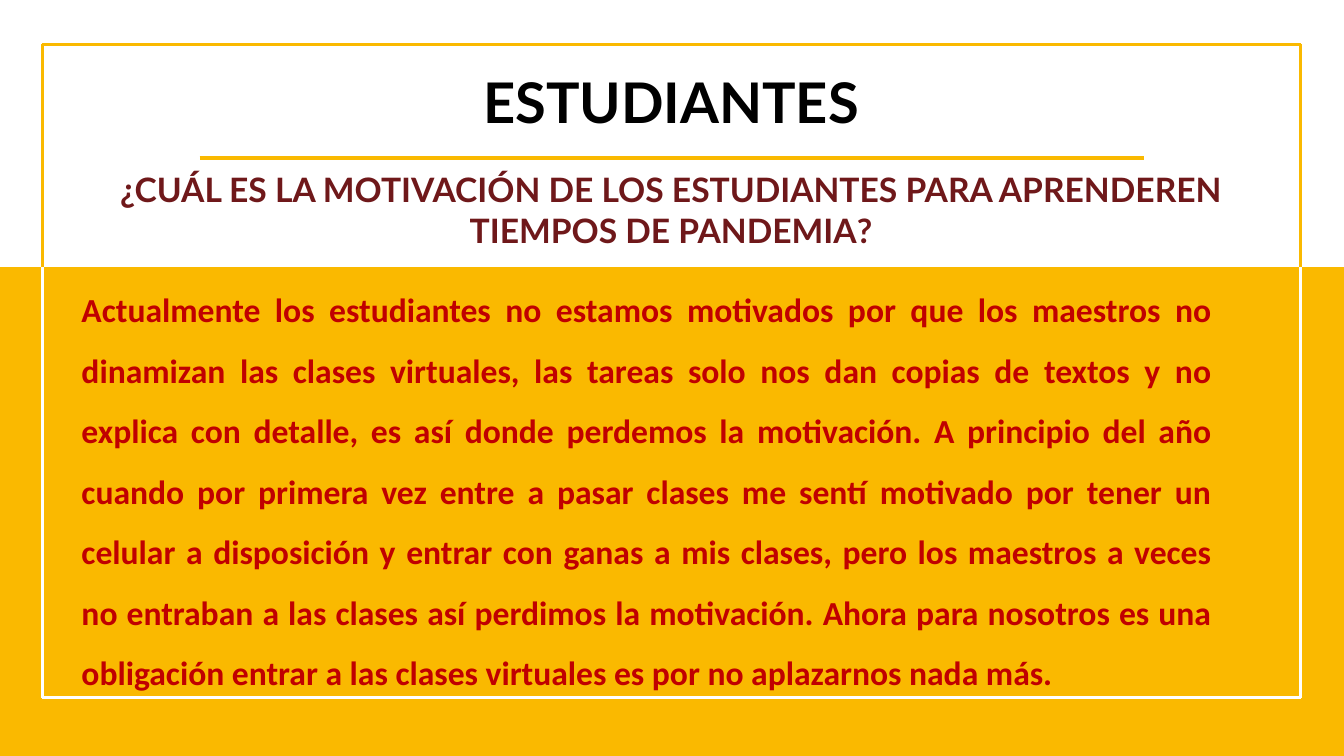
"""Build the slide on student motivation, with a two-tone frame around the text."""
from dataclasses import dataclass

from lxml import etree
from pptx import Presentation
from pptx.dml.color import RGBColor
from pptx.enum.shapes import MSO_CONNECTOR, MSO_SHAPE
from pptx.enum.text import MSO_ANCHOR, MSO_AUTO_SIZE, PP_ALIGN
from pptx.oxml.ns import qn
from pptx.util import Inches, Pt

TITLE = "ESTUDIANTES"
QUESTION = "¿CUÁL ES LA MOTIVACIÓN DE LOS ESTUDIANTES PARA APRENDEREN TIEMPOS DE PANDEMIA?"
ANSWER = (
    "Actualmente los estudiantes no estamos motivados por que los maestros no "
    "dinamizan las clases virtuales, las tareas solo nos dan copias de textos y no "
    "explica con detalle, es así donde perdemos la motivación. A principio del año "
    "cuando por primera vez entre a pasar clases me sentí motivado por tener un "
    "celular a disposición y entrar con ganas a mis clases, pero los maestros a veces "
    "no entraban a las clases así perdimos la motivación. Ahora para nosotros es una "
    "obligación entrar a las clases virtuales es por no aplazarnos nada más."
)

WIDTH, HEIGHT = 13.33, 7.5
SPLIT = 2.65
LEFT, RIGHT, TOP, BOTTOM = 0.42, 12.9, 0.44, 6.92
HEADING_LEFT, HEADING_WIDTH, HEADING_HEIGHT = 0.88, 11.55, 1.23
RULE_LEFT, RULE_RIGHT, RULE_TOP = 1.98, 11.35, 1.57

STRAIGHT = MSO_CONNECTOR.STRAIGHT
CENTER, JUSTIFY = PP_ALIGN.CENTER, PP_ALIGN.JUSTIFY


@dataclass(frozen=True)
class Theme:
    gold: str = "FAB900"
    white: str = "FFFFFF"
    black: str = "000000"
    maroon: str = "6F181A"
    red: str = "C00000"
    heading_font: str = "Lato"
    text_font: str = "Calibri"
    title_size: int = 40
    text_size: int = 24
    line_width: float = 2.5


THEME = Theme()


def color(code):
    return RGBColor.from_string(code)


def place(shape, left, top, width, height):
    shape.left, shape.top = Inches(left), Inches(top)
    shape.width, shape.height = Inches(width), Inches(height)


def write(shape, text, font, size, ink, align, anchor=MSO_ANCHOR.TOP, spacing=1.0):
    frame = shape.text_frame
    frame.word_wrap = True
    frame.auto_size = MSO_AUTO_SIZE.NONE
    frame.vertical_anchor = anchor
    para = frame.paragraphs[0]
    para.alignment = align
    para.line_spacing = spacing
    span = para.add_run()
    span.text = text
    span.font.name = font
    span.font.size = Pt(size)
    span.font.bold = True
    span.font.color.rgb = color(ink)
    return para


def draw_line(shapes, start, end, ink):
    line = shapes.add_connector(STRAIGHT, *map(Inches, start + end))
    line.line.color.rgb = color(ink)
    line.line.width = Pt(THEME.line_width)
    etree.SubElement(line._element.spPr, qn("a:effectLst"))


def draw_half_frame(page, edge, ink):
    half = page.shapes.add_group_shape()
    for side in (LEFT, RIGHT):
        draw_line(half.shapes, (side, SPLIT), (side, edge), ink)
    draw_line(half.shapes, (LEFT, edge), (RIGHT, edge), ink)


def add_band(page):
    band = page.shapes.add_shape(
        MSO_SHAPE.RECTANGLE, 0, Inches(SPLIT), Inches(WIDTH), Inches(HEIGHT - SPLIT)
    )
    band.shadow.inherit = False
    band.fill.solid()
    band.fill.fore_color.rgb = color(THEME.gold)
    band.line.fill.background()
    page.shapes._spTree.insert(2, band._element)


def add_headings(page):
    title, question = page.shapes.title, page.placeholders[1]
    place(title, HEADING_LEFT, 0.32, HEADING_WIDTH, HEADING_HEIGHT)
    place(question, HEADING_LEFT, 1.63, HEADING_WIDTH, HEADING_HEIGHT)
    write(title, TITLE, THEME.heading_font, THEME.title_size, THEME.black,
          CENTER, MSO_ANCHOR.BOTTOM, 0.9)
    frame = title.text_frame
    frame.margin_left = frame.margin_right = Inches(0.2)
    frame.margin_top = frame.margin_bottom = Inches(0.2)
    para = write(question, QUESTION, THEME.heading_font, THEME.text_size,
                 THEME.maroon, CENTER)
    para.space_before = Pt(10)
    properties = para._p.get_or_add_pPr()
    properties.set("marL", "0")
    properties.set("indent", "0")
    etree.SubElement(properties, qn("a:buNone"))


def add_answer(page):
    box = page.shapes.add_textbox(0, 0, 0, 0)
    place(box, 0.71, 2.62, 11.41, 4.28)
    para = write(box, ANSWER, THEME.text_font, THEME.text_size, THEME.red,
                 JUSTIFY, spacing=1.5)
    para.space_after = Pt(8)


def main():
    deck = Presentation()
    deck.slide_width, deck.slide_height = Inches(WIDTH), Inches(HEIGHT)
    page = deck.slides.add_slide(deck.slide_layouts[1])
    add_band(page)
    add_headings(page)
    draw_half_frame(page, TOP, THEME.gold)
    draw_half_frame(page, BOTTOM, THEME.white)
    draw_line(page.shapes, (RULE_LEFT, RULE_TOP), (RULE_RIGHT, RULE_TOP), THEME.gold)
    add_answer(page)
    deck.save("out.pptx")


if __name__ == "__main__":
    main()
